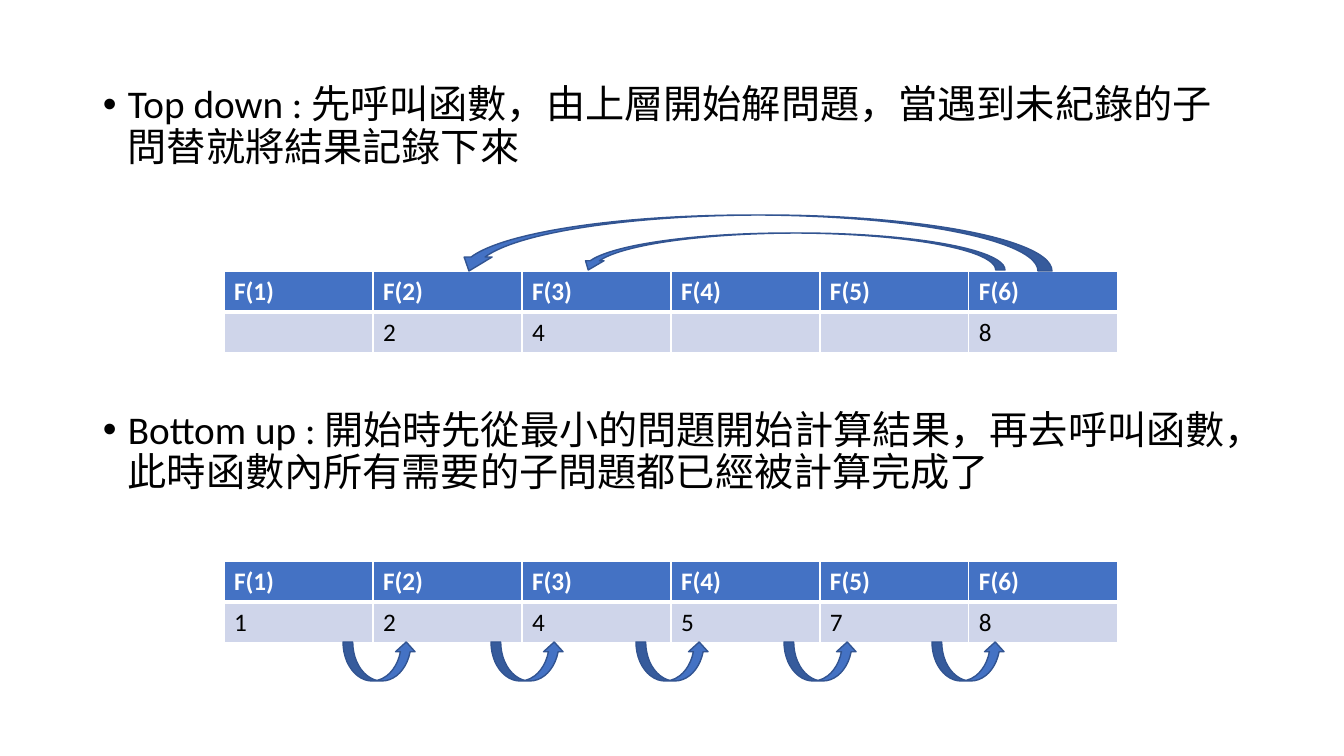
"""Build a slide comparing top-down and bottom-up dynamic programming."""
from lxml import etree
from pptx import Presentation
from pptx import util as u
from pptx.dml.color import RGBColor
from pptx.enum import shapes
from pptx.oxml import ns

PIXEL = 9071
FONT = "Calibri"
BLACK = RGBColor(0, 0, 0)
WHITE = RGBColor(255, 255, 255)
BLUE = RGBColor(0x44, 0x72, 0xC4)
DARK_BLUE = RGBColor(0x32, 0x54, 0x91)
PALE_BLUE = RGBColor(0xCF, 0xD5, 0xEA)


def add_span(para, words, size, color, bold=False):
    span = para.add_run()
    span.text = words
    span.font.name = FONT
    span.font.size = u.Pt(size)
    span.font.color.rgb = color
    span.font.bold = bold


def add_border(cell, side, points):
    line = etree.SubElement(cell._tc.get_or_add_tcPr(), ns.qn(f"a:ln{side}"), w=str(u.Pt(points)))
    fill = etree.SubElement(line, ns.qn("a:solidFill"))
    etree.SubElement(fill, ns.qn("a:srgbClr"), val=str(WHITE))


deck = Presentation()
deck.slide_width = u.Inches(13.333)
deck.slide_height = u.Inches(7.5)
page = deck.slides.add_slide(deck.slide_layouts[6])

box = page.shapes.add_textbox(*[n * PIXEL for n in (93, 80, 1159, 601)])
frame = box.text_frame
frame.word_wrap = True
approaches = [
    ("Top down : 先呼叫函數，由上層開始解問題，當遇到未紀錄的子問替就將結果記錄下來", 10),
    ("Bottom up : 開始時先從最小的問題開始計算結果，再去呼叫函數，此時函數內所有需要的子問題都已經被計算完成了", 172),
]
for index, (words, space) in enumerate(approaches):
    para = frame.add_paragraph() if index else frame.paragraphs[0]
    para.line_spacing = 0.9
    para.space_before = u.Pt(space)
    add_span(para, words, 28, BLACK)
    props = para._p.get_or_add_pPr()
    props.set("marL", str(25 * PIXEL))
    props.set("indent", str(-25 * PIXEL))
    etree.SubElement(props, ns.qn("a:buFont"), typeface="Arial")
    etree.SubElement(props, ns.qn("a:buChar"), char="•")

headings = [f"F({n})" for n in range(1, 7)]
memo_tables = [(271, ["", "2", "4", "", "", "8"]), (561, ["1", "2", "4", "5", "7", "8"])]
for top, results in memo_tables:
    holder = page.shapes.add_table(2, 6, *[n * PIXEL for n in (224, top, 894, 82)])
    table = holder.table
    for column in table.columns:
        column.width = 149 * PIXEL
    for row, values in enumerate((headings, results)):
        table.rows[row].height = 41 * PIXEL
        for col, value in enumerate(values):
            cell = table.cell(row, col)
            for side in "LRTB":
                at_divider = (row, side) in ((0, "B"), (1, "T"))
                add_border(cell, side, 3 if at_divider else 1)
            cell.fill.solid()
            cell.fill.fore_color.rgb = PALE_BLUE if row else BLUE
            if value:
                add_span(cell.text_frame.paragraphs[0], value, 18, BLACK if row else WHITE, not row)
            else:
                cell.text_frame.paragraphs[0].font.size = u.Pt(18)

steps = [(left, 642, 73, 39, 0) for left in (343, 491, 636, 784, 932)]
calls = [(455, 215, 597, 56, 180), (579, 233, 426, 37, 180)]
for left, top, width, height, turn in steps + calls:
    arrow = page.shapes.add_shape(
        shapes.MSO_SHAPE.CURVED_UP_ARROW, *[n * PIXEL for n in (left, top, width, height)])
    arrow.rotation = turn
    arrow.shadow.inherit = False
    arrow.fill.solid()
    arrow.fill.fore_color.rgb = BLUE
    arrow.line.color.rgb = DARK_BLUE
    arrow.line.width = u.Pt(1)

deck.save("out.pptx")
